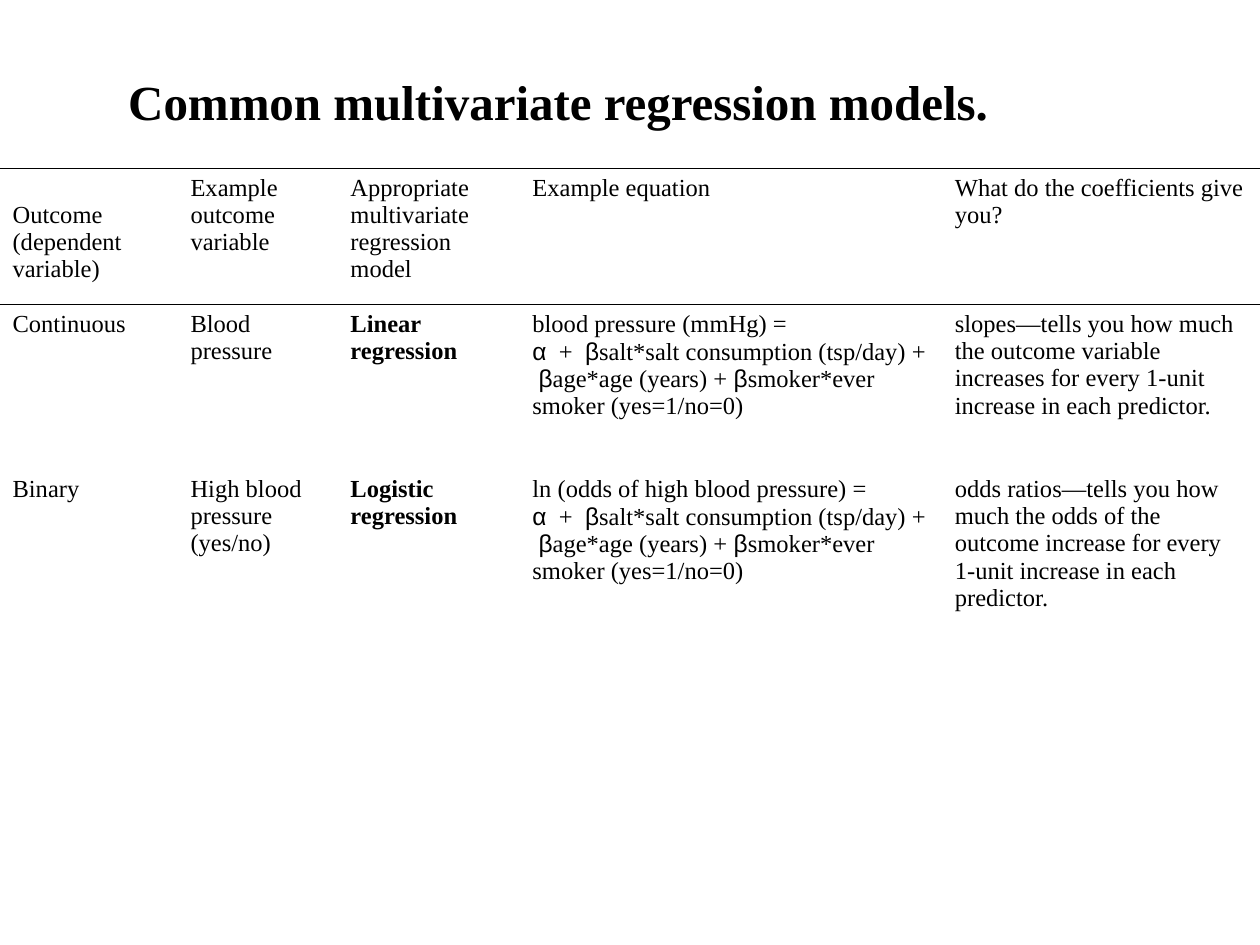
from lxml import etree
from pptx import Presentation
from pptx.dml.color import RGBColor
from pptx.enum.text import MSO_ANCHOR
from pptx.oxml.ns import qn
from pptx.util import Pt

MIDDLE, TOP = MSO_ANCHOR.MIDDLE, MSO_ANCHOR.TOP
BLACK = RGBColor(0, 0, 0)
SERIF, SANS = "Times New Roman", "Arial"
GREEK = "αβ"
PLAIN = "{2D5ABB26-0587-4C30-8999-92F81FD0307C}"
SIZE, LINE = 14, 15.4
PAD = 3.6
BOLD_COL = 2
COLS = [101.7, 91.4, 104, 241.4, 181.5]
ROWS = [77.8, 94.3, 111.6]

FORMULA = [
    "α", "  +  ", "β", "salt*salt consumption (tsp/day) +  ",
    "β", "age*age (years) + ", "β", "smoker*ever smoker (yes=1/no=0)",
]
HEAD = [
    "Outcome (dependent variable)",
    "Example outcome variable",
    "Appropriate multivariate regression model",
    "Example equation",
    "What do the coefficients give you?",
]
MODELS = [
    ("Continuous", "Blood pressure", "Linear regression",
     "blood pressure (mmHg) =",
     "slopes—tells you how much the outcome variable increases "
     "for every 1-unit increase in each predictor."),
    ("Binary", "High blood pressure (yes/no)", "Logistic regression",
     "ln (odds of high blood pressure) =",
     "odds ratios—tells you how much the odds of the outcome increase "
     "for every 1-unit increase in each predictor."),
]


def add_run(para, text, size, bold=False):
    run = para.add_run()
    run.text = text
    font = run.font
    font.name = SANS if text in GREEK else SERIF
    font.size, font.bold = Pt(size), bold
    font.color.rgb = BLACK


def add_title(slide, left, top, width, height):
    box = slide.shapes.add_textbox(Pt(left), Pt(top), Pt(width), Pt(height))
    frame = box.text_frame
    frame.word_wrap = False
    frame.vertical_anchor = MIDDLE
    add_run(frame.paragraphs[0], "Common multivariate regression models.",
            28, True)


def set_lines(cell, shown):
    """Draw a thin black line on the shown sides and none on the others."""
    props = cell._tc.get_or_add_tcPr()
    for spot, side in enumerate("LRTB"):
        line = etree.Element(qn("a:ln" + side), w=str(Pt(0.45)))
        if side in shown:
            fill = etree.SubElement(line, qn("a:solidFill"))
            etree.SubElement(fill, qn("a:srgbClr"), val=str(BLACK))
        else:
            etree.SubElement(line, qn("a:noFill"))
        props.insert(spot, line)


def fill_cell(cell, text, bold, lines):
    cell.fill.background()
    cell.vertical_anchor = TOP
    set_lines(cell, lines)
    add_run(cell.text_frame.paragraphs[0], text, SIZE, bold)
    if text.endswith("="):
        para = cell.text_frame.add_paragraph()
        for part in FORMULA:
            add_run(para, part, SIZE)


def add_models(slide, left, top):
    rows = [HEAD, *MODELS]
    shape = slide.shapes.add_table(len(ROWS), len(COLS), Pt(left), Pt(top),
                                   Pt(sum(COLS)), Pt(sum(ROWS)))
    table = shape.table
    table.first_row = table.horz_banding = False
    table._tbl.tblPr.find(qn("a:tableStyleId")).text = PLAIN
    for col, width in zip(table.columns, COLS):
        col.width = Pt(width)
    for r, (height, texts) in enumerate(zip(ROWS, rows)):
        table.rows[r].height = Pt(height)
        lines = ("TB", "T", "")[r]
        for c, text in enumerate(texts):
            fill_cell(table.cell(r, c), text, r > 0 and c == BOLD_COL, lines)
    # The first heading starts one line lower than the others.
    table.cell(0, 0).margin_top = Pt(PAD + LINE)


def main():
    deck = Presentation()
    deck.slide_width, deck.slide_height = Pt(720), Pt(540)
    slide = deck.slides.add_slide(deck.slide_layouts[6])
    add_title(slide, 66.2, 37.4, 511.2, 41)
    add_models(slide, 0, 96.3)
    deck.save("out.pptx")


if __name__ == "__main__":
    main()
